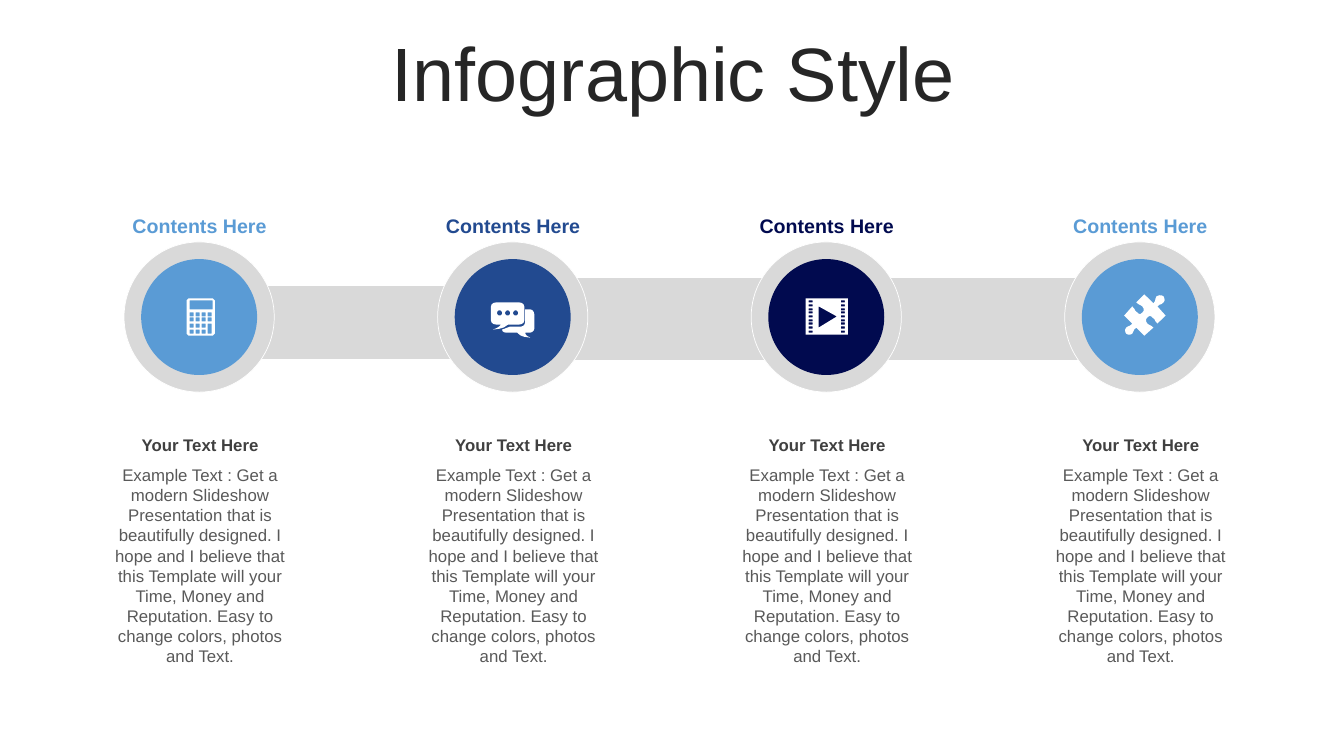
from pptx import Presentation, util as u
from pptx.dml.color import RGBColor
from pptx.enum import shapes, text

PX = 9144  # EMU per px, 100 px to the inch
FONT = "Arial"
COLORS = {
    "title": "262626", "subhead": "404040", "body": "595959",
    "sky": "5A9BD5", "blue": "224A90", "navy": "010A4F",
    "track": "D9D9D9", "white": "FFFFFF",
}
STEPS = ("sky", "blue", "navy", "sky")
PITCH = 311
BODY = ("Example Text : Get a modern Slideshow Presentation that is beautifully "
        "designed. I hope and I believe that this Template will your Time, Money "
        "and Reputation. Easy to change colors, photos and Text.")

# Icon outlines: a pair is a line end, six numbers are a cubic curve
BACK_BUBBLE = [
    (521, 307), (526, 307), (528, 307, 530, 309, 530, 312), (530, 326),
    (530, 328, 528, 330, 526, 330), (521, 330),
    (521, 331, 521, 333, 526, 335), (518, 334, 517, 334, 513, 330),
    (502, 330), (500, 330, 498, 329, 498, 327), (501, 326, 503, 325, 506, 324),
    (517, 324), (519, 324, 521, 322, 521, 319),
]
FRONT_BUBBLE = [
    (492, 300), (515, 300), (518, 300, 520, 302, 520, 304), (520, 318),
    (520, 320, 518, 322, 515, 322), (504, 322),
    (499, 326, 497, 326, 489, 327), (494, 325, 494, 325, 497, 322),
    (492, 322), (489, 322, 487, 320, 487, 318), (487, 304),
    (487, 302, 489, 300, 492, 300),
]
PUZZLE = [
    (1154, 294), (1155, 296, 1156, 298, 1154, 300),
    (1152, 303, 1150, 301, 1148, 304), (1156, 313), (1148, 321),
    (1145, 319, 1146, 316, 1143, 315), (1142, 313, 1139, 313, 1138, 315),
    (1136, 316, 1136, 319, 1138, 321), (1140, 323, 1141, 322, 1144, 325),
    (1135, 333), (1127, 325), (1124, 327, 1125, 328, 1123, 331),
    (1121, 333, 1118, 332, 1117, 331), (1116, 330, 1115, 327, 1117, 325),
    (1119, 323, 1121, 324, 1123, 321), (1115, 313), (1123, 304),
    (1126, 306, 1125, 309, 1128, 310), (1129, 312, 1132, 312, 1133, 310),
    (1135, 309, 1135, 306, 1133, 304), (1131, 302, 1130, 303, 1127, 300),
    (1135, 292), (1144, 301), (1147, 298, 1145, 297, 1147, 294),
    (1150, 292, 1153, 293, 1154, 294),
]


def color(name):
    return RGBColor.from_string(COLORS[name])


def box_of(left, top, width, height):
    return [u.Emu(value * PX) for value in (left, top, width, height)]


def write(box, words, size, tint, bold=False):
    """Fill a box with one centred paragraph."""
    box.text_frame.word_wrap = True
    para = box.text_frame.paragraphs[0]
    para.text = words
    para.alignment = text.PP_ALIGN.CENTER
    font = para.font
    font.name, font.size, font.bold = FONT, u.Pt(size), bold
    font.color.rgb = color(tint)
    return para


def add_title(page, words):
    box = page.shapes.title
    box.left, box.top, box.width, box.height = box_of(35, 37, 1266, 79)
    box.text_frame.auto_size = text.MSO_AUTO_SIZE.NONE
    box.text_frame.vertical_anchor = text.MSO_ANCHOR.MIDDLE
    write(box, words, 54, "title").line_spacing = 0.9


def add_text(page, place, words, size, tint, bold=False):
    box = page.shapes.add_textbox(*box_of(*place))
    write(box, words, size, tint, bold)
    box.text_frame.auto_size = text.MSO_AUTO_SIZE.SHAPE_TO_FIT_TEXT


def paint(shape, fill, line=None):
    shape.shadow.inherit = False
    shape.fill.solid()
    shape.fill.fore_color.rgb = color(fill)
    if line:
        shape.line.color.rgb = color(line)
        shape.line.width = u.Pt(0.5)
    else:
        shape.line.fill.background()


def add_shape(page, kind, place, fill, line=None):
    paint(page.shapes.add_shape(kind, *box_of(*place)), fill, line)


def block(left, top, width, height, cut=0):
    """Outline of a rectangle, with corners cut off if asked."""
    right, bottom = left + width, top + height
    if not cut:
        return [(left, top), (right, top), (right, bottom), (left, bottom)]
    return [
        (left + cut, top), (right - cut, top), (right, top + cut), (right, bottom - cut),
        (right - cut, bottom), (left + cut, bottom), (left, bottom - cut), (left, top + cut),
    ]


def flatten(outline, steps=3):
    """Turn an outline into points in EMU."""
    points = []
    for part in outline:
        if len(part) == 2:
            points.append(part)
            continue
        nodes = (points[-1], part[:2], part[2:4], part[4:])
        for step in range(1, steps + 1):
            t = step / steps
            weights = ((1 - t) ** 3, 3 * t * (1 - t) ** 2, 3 * t * t * (1 - t), t ** 3)
            points.append(tuple(sum(w * node[axis] for w, node in zip(weights, nodes))
                                for axis in (0, 1)))
    return [(round(x * PX), round(y * PX)) for x, y in points]


def add_icon(page, outlines):
    """Draw outlines as one white shape; inner ones become holes."""
    first, *others = [flatten(outline) for outline in outlines]
    builder = page.shapes.build_freeform(*first[0], scale=1.0)
    builder.add_line_segments(first[1:], close=True)
    for points in others:
        builder.move_to(*points[0])
        builder.add_line_segments(points[1:], close=True)
    paint(builder.convert_to_shape(), "white")


def calculator():
    keys = [block(188 + 6 * column, top, 4, 4)
            for column in range(4) for top in (310, 315, 321, 327)
            if column < 3 or top < 321]
    tall_key = block(206, 321, 4, 10)
    return [block(185, 296, 28, 37, 2), block(188, 298, 23, 9), tall_key, *keys]


def chat():
    dots = [block(493 + 8 * index, 308, 5, 5, 1.5) for index in range(3)]
    return [BACK_BUBBLE, FRONT_BUBBLE, *dots]


def film():
    holes = [block(left, round(298 + 3.75 * row), 4, 2)
             for left in (802, 834) for row in range(9)]
    return [block(799, 296, 42, 36), [(812, 304), (812, 325), (830, 314)], *holes]


def main():
    deck = Presentation()
    deck.slide_width, deck.slide_height = u.Inches(13.33), u.Inches(7.5)
    page = deck.slides.add_slide(deck.slide_layouts[5])
    add_title(page, "Infographic Style")

    # Track between the circles
    for bar in ((509, 275, 271, 83), (768, 275, 364, 83), (198, 283, 333, 74)):
        add_shape(page, shapes.MSO_SHAPE.RECTANGLE, bar, "track", "white")

    # One column per step
    for index, tint in enumerate(STEPS):
        shift = index * PITCH
        add_text(page, (85 + shift, 207, 226, 34), "Contents Here", 14, tint, True)
        add_shape(page, shapes.MSO_SHAPE.OVAL, (123 + shift, 240, 149, 149), "track", "white")
        add_shape(page, shapes.MSO_SHAPE.OVAL, (140 + shift, 257, 115, 115), tint)
        add_text(page, (92 + shift, 426, 213, 30), "Your Text Here", 12, "subhead", True)
        add_text(page, (92 + shift, 456, 213, 212), BODY, 12, "body")

    # Icons
    for outlines in (calculator(), chat(), film(), [PUZZLE]):
        add_icon(page, outlines)

    deck.save("out.pptx")


if __name__ == "__main__":
    main()
